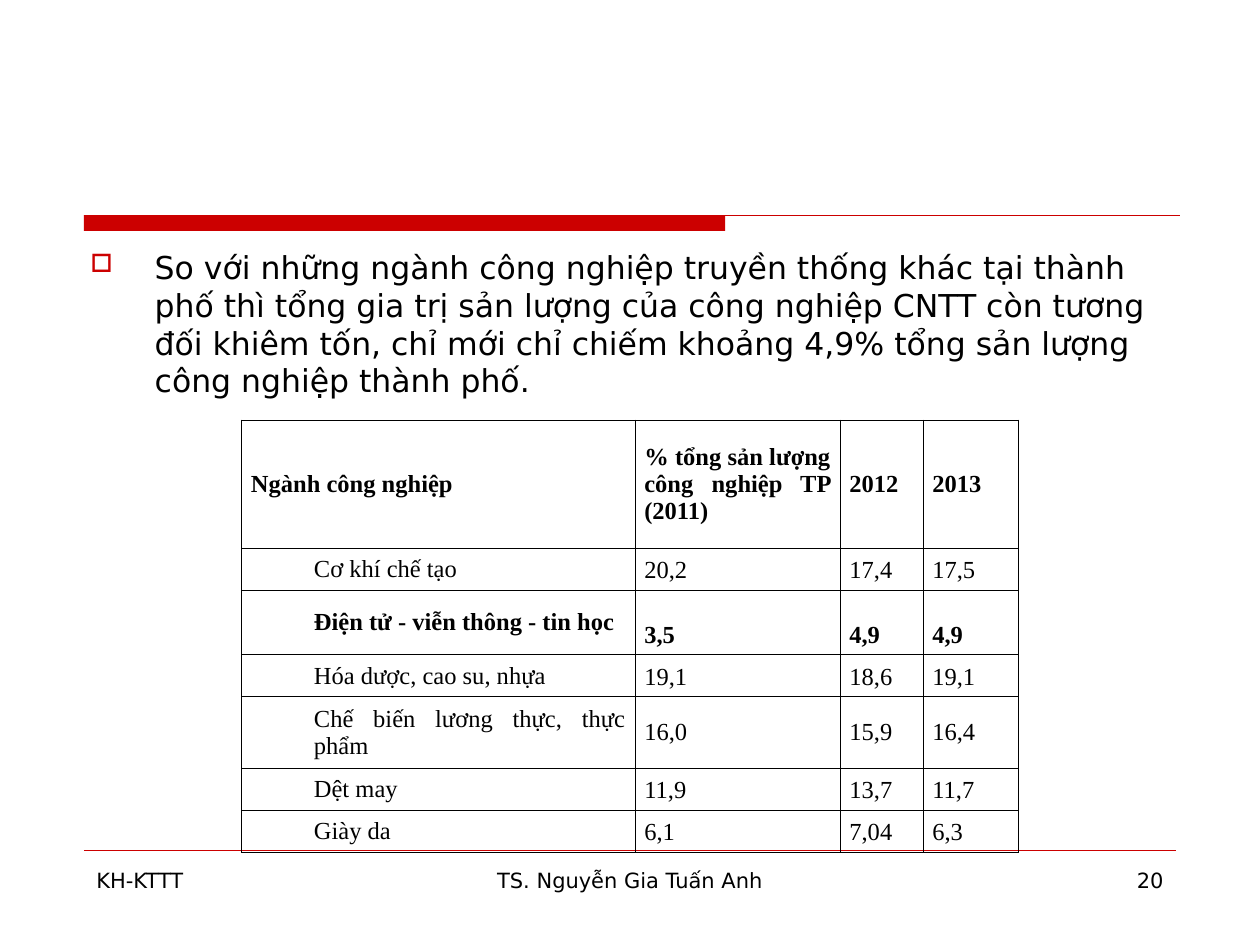
import pptx
import pptx.dml.color
import pptx.enum.shapes
import pptx.enum.text
import pptx.oxml
import pptx.oxml.ns
import pptx.util

Pt = pptx.util.Pt
ALIGN = pptx.enum.text.PP_ALIGN
ANCHOR = pptx.enum.text.MSO_ANCHOR
COLORS = {"accent": "CC0000", "text": "000000", "border": "000000"}
SANS, SERIF = "DejaVu Sans", "Times New Roman"

STATEMENT = (
    "So với những ngành công nghiệp truyền thống khác tại thành phố thì tổng "
    "gia trị sản lượng của công nghiệp CNTT còn tương đối khiêm tốn, chỉ mới "
    "chỉ chiếm khoảng 4,9% tổng sản lượng công nghiệp thành phố."
)
COLUMN_WIDTHS = [224.8, 117.2, 47.4, 54.8]
# Row height, bold, anchor of the values, cell texts
INDUSTRIES = [
    (73.4, True, ANCHOR.MIDDLE,
     ["Ngành công nghiệp", "% tổng sản lượng công nghiệp TP (2011)", "2012", "2013"]),
    (18, False, ANCHOR.BOTTOM, ["Cơ khí chế tạo", "20,2", "17,4", "17,5"]),
    (36.7, True, ANCHOR.BOTTOM, ["Điện tử - viễn thông - tin học", "3,5", "4,9", "4,9"]),
    (18, False, ANCHOR.BOTTOM, ["Hóa dược, cao su, nhựa", "19,1", "18,6", "19,1"]),
    (36.7, False, ANCHOR.MIDDLE, ["Chế biến lương thực, thực phẩm", "16,0", "15,9", "16,4"]),
    (18, False, ANCHOR.BOTTOM, ["Dệt may", "11,9", "13,7", "11,7"]),
    (18.7, False, ANCHOR.BOTTOM, ["Giày da", "6,1", "7,04", "6,3"]),
]


def rgb(name):
    return pptx.dml.color.RGBColor.from_string(COLORS[name])


def xml(markup):
    tag, rest = markup.split(" ", 1)
    return pptx.oxml.parse_xml(f"{tag} {pptx.oxml.ns.nsdecls('a')} {rest}")


def write(frame, text, size, font, align=ALIGN.LEFT, bold=False, space_before=0):
    paragraph = frame.paragraphs[0]
    paragraph.alignment = align
    paragraph.space_before = Pt(space_before)
    run = paragraph.add_run()
    run.text = text
    for key, value in {"size": Pt(size), "name": font, "bold": bold}.items():
        setattr(run.font, key, value)
    run.font.color.rgb = rgb("text")
    return paragraph


def add_text(slide, box, text, size, **options):
    frame = slide.shapes.add_textbox(*map(Pt, box)).text_frame
    frame.word_wrap = True
    return write(frame, text, size, SANS, **options)


def add_rule(slide, left, top, width, weight):
    rule = slide.shapes.add_connector(
        pptx.enum.shapes.MSO_CONNECTOR.STRAIGHT,
        Pt(left), Pt(top), Pt(left + width), Pt(top))
    rule.line.color.rgb = rgb("accent")
    rule.line.width = Pt(weight)
    rule._element.spPr.append(xml("<a:effectLst />"))


def add_title_rule(slide, left, top, width, height):
    bar = slide.shapes.add_shape(
        pptx.enum.shapes.MSO_SHAPE.RECTANGLE,
        Pt(left), Pt(top), Pt(width * 0.585), Pt(height))
    bar.shadow.inherit = False
    bar.fill.solid()
    bar.fill.fore_color.rgb = rgb("accent")
    bar.line.fill.background()
    add_rule(slide, left, top, width, 0.75)


def add_statement(slide, box):
    paragraph = add_text(slide, box, STATEMENT, 18, space_before=4.5)
    properties = paragraph._p.get_or_add_pPr()
    indent = Pt(36.75)
    properties.set("marL", str(indent))
    properties.set("indent", str(-indent))
    for markup in (
        f'<a:buClr ><a:srgbClr val="{COLORS["accent"]}"/></a:buClr>',
        '<a:buSzPct val="80000"/>',
        '<a:buChar char="□"/>',
    ):
        properties.append(xml(markup))


def add_footer(slide, left, top, width, height):
    add_rule(slide, left, top - 6, width, 0.25)
    side, middle = 156, 228
    parts = [
        ("KH-KTTT", left, side, ALIGN.LEFT),
        ("TS. Nguyễn Gia Tuấn Anh", left + (width - middle) / 2, middle, ALIGN.CENTER),
        ("20", left + width - side, side, ALIGN.RIGHT),
    ]
    for text, x, part_width, align in parts:
        add_text(slide, (x, top, part_width, height), text, 12, align=align)


def format_cell(cell, anchor):
    margins = {"margin_left": 5.4, "margin_right": 5.4,
               "margin_top": 3.6, "margin_bottom": 3.6}
    for key, value in margins.items():
        setattr(cell, key, Pt(value))
    cell.vertical_anchor = anchor
    cell.fill.background()
    properties = cell._tc.get_or_add_tcPr()
    for position, side in enumerate("LRTB"):
        properties.insert(position, xml(
            f'<a:ln{side} w="{Pt(0.45)}"><a:solidFill><a:srgbClr '
            f'val="{COLORS["border"]}"/></a:solidFill></a:ln{side}>'))


def add_industry_table(slide, left, top):
    width, height = sum(COLUMN_WIDTHS), sum(row[0] for row in INDUSTRIES)
    table = slide.shapes.add_table(
        len(INDUSTRIES), len(COLUMN_WIDTHS),
        Pt(left), Pt(top), Pt(width), Pt(height)).table
    table.first_row = table.horz_banding = False
    for column, column_width in zip(table.columns, COLUMN_WIDTHS):
        column.width = Pt(column_width)
    for r, (row_height, bold, value_anchor, texts) in enumerate(INDUSTRIES):
        table.rows[r].height = Pt(row_height)
        for c, text in enumerate(texts):
            cell = table.cell(r, c)
            format_cell(cell, value_anchor if c else ANCHOR.MIDDLE)
            paragraph = write(cell.text_frame, text, 14, SERIF,
                              align=ALIGN.JUSTIFY, bold=bold, space_before=6)
            # Industry names are indented below the header
            if r and not c:
                properties = paragraph._p.get_or_add_pPr()
                properties.set("marL", str(Pt(36)))
                properties.set("indent", "0")


def main():
    deck = pptx.Presentation()
    deck.slide_width, deck.slide_height = Pt(720), Pt(540)
    slide = deck.slides.add_slide(deck.slide_layouts[6])
    add_title_rule(slide, 48, 123, 626.4, 9)
    add_statement(slide, (44.6, 138.2, 630, 336.2))
    add_footer(slide, 48, 492, 624, 37.4)
    add_industry_table(slide, 138, 240)
    deck.save("out.pptx")


if __name__ == "__main__":
    main()
